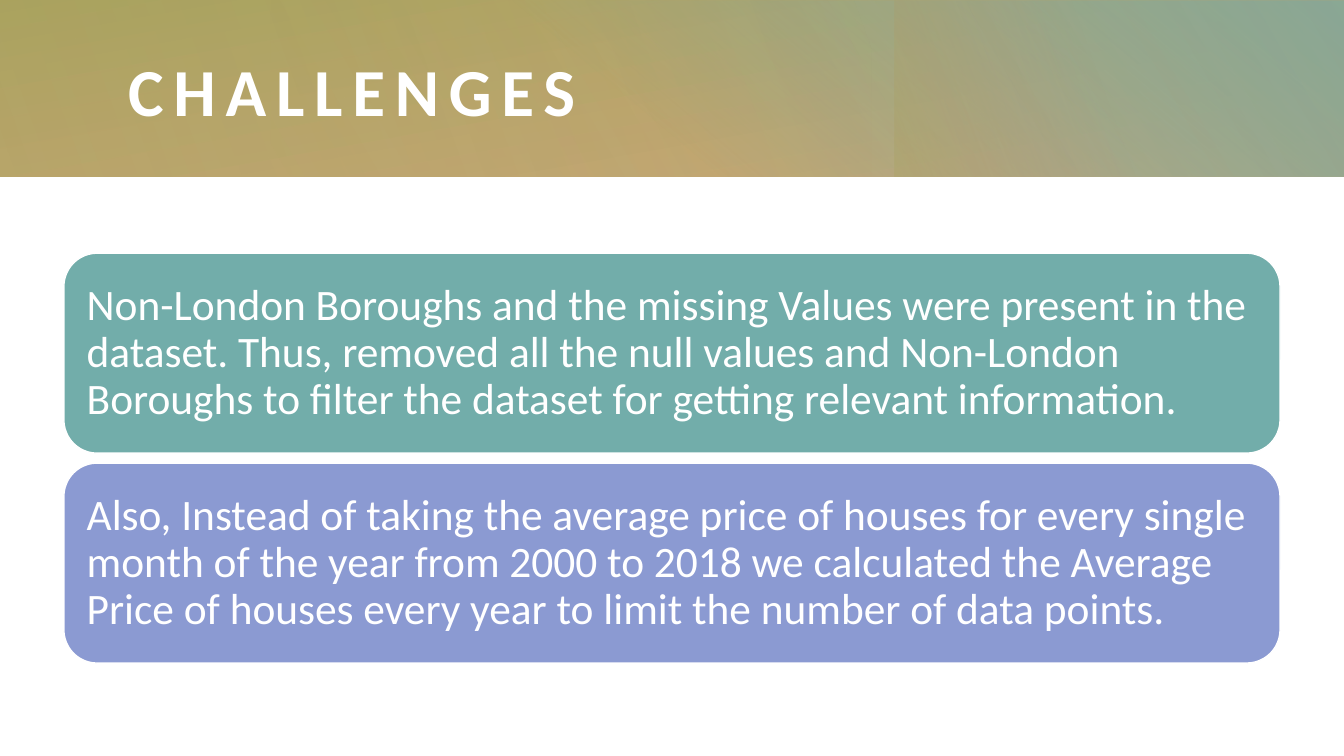
from lxml import etree
from pptx import Presentation
from pptx.dml.color import RGBColor
from pptx.enum.shapes import MSO_SHAPE
from pptx.enum.text import MSO_ANCHOR, PP_ALIGN
from pptx.oxml.ns import qn
from pptx.util import Cm, Pt

RECTANGLE = MSO_SHAPE.RECTANGLE
ROUNDED = MSO_SHAPE.ROUNDED_RECTANGLE
MIDDLE = MSO_ANCHOR.MIDDLE
LEFT = PP_ALIGN.LEFT

FONT = "Calibri"
WHITE, TEAL, PERIWINKLE = "FFFFFF", "72ADAA", "8B9AD2"
TAN, OLIVE, ROSE = "C29C65", "A5A55E", "C88071"
TITLE_ONLY_LAYOUT = 5


def rgb(hex_colour):
    return RGBColor.from_string(hex_colour)


def style_text(frame, size, inset):
    """Wrap and centre the text vertically, left-aligned in white."""
    frame.word_wrap = True
    frame.vertical_anchor = MIDDLE
    frame.margin_left = frame.margin_right = inset
    frame.margin_top = frame.margin_bottom = inset
    paragraph = frame.paragraphs[0]
    paragraph.alignment = LEFT
    paragraph.line_spacing = 0.9
    font = paragraph.runs[0].font
    font.name, font.size = FONT, Pt(size)
    font.color.rgb = rgb(WHITE)


prs = Presentation()
prs.slide_width, prs.slide_height = Cm(33.87), Cm(19.05)
slide = prs.slides.add_slide(prs.slide_layouts[TITLE_ONLY_LAYOUT])

# Header band: translucent gradients stacked from back to front.
# Box in cm, rotation, clockwise gradient angle, stops (position, colour, opacity %)
header_layers = [
    ((0, 0, 33.87, 4.45), 0, 260, [(0, TAN, 83), (1, OLIVE, 100)]),
    ((12.22, 0.02, 21.65, 4.43), 0, 310, [(0.22, TEAL, 0), (0.99, TEAL, 100)]),
    ((25.07, -2.52, 4.45, 9.5), 270, 250, [(0.45, ROSE, 0), (0.99, OLIVE, 33)]),
    ((6.82, 0, 27.03, 4.45), 180, 330, [(0, TAN, 30), (0.99, TAN, 0)]),
    ((0, 0, 21.97, 4.45), 0, 340, [(0, TAN, 21), (0.99, TAN, 0)]),
]
for box, rotation, angle, stops in header_layers:
    layer = slide.shapes.add_shape(RECTANGLE, *[Cm(length) for length in box])
    layer.shadow.inherit = False
    layer.line.fill.background()
    layer.rotation = rotation
    layer.fill.gradient()
    layer.fill.gradient_angle = 360 - angle
    for stop, (position, colour, _) in zip(layer.fill.gradient_stops, stops):
        stop.position = position
        stop.color.rgb = rgb(colour)
    for colour_node, (_, _, opacity) in zip(layer.element.iter(qn("a:srgbClr")), stops):
        etree.SubElement(colour_node, qn("a:alpha")).set("val", str(opacity * 1000))

# Title, brought in front of the header band
title = slide.shapes.title
title.left, title.top, title.width, title.height = Cm(3.23), Cm(1.04), Cm(28.83), Cm(2.69)
title.text_frame.text = "CHALLENGES"
style_text(title.text_frame, 48, 0)
title_run = title.text_frame.paragraphs[0].runs[0]
title_run.font.bold = True
title_run.font._element.set("spc", "700")
title.element.getparent().append(title.element)

# Challenge cards
challenges = [
    (TEAL, "Non-London Boroughs and the missing Values were present in the dataset. "
           "Thus, removed all the null values and Non-London Boroughs to filter the "
           "dataset for getting relevant information."),
    (PERIWINKLE, "Also, Instead of taking the average price of houses for every single "
                 "month of the year from 2000 to 2018 we calculated the Average Price of "
                 "houses every year to limit the number of data points."),
]
CARDS_TOP, CARD_PITCH = 6.38, 5.29
for row, (colour, challenge) in enumerate(challenges):
    card = slide.shapes.add_shape(
        ROUNDED, Cm(1.61), Cm(CARDS_TOP + row * CARD_PITCH), Cm(30.65), Cm(5.04))
    card.shadow.inherit = False
    card.fill.solid()
    card.fill.fore_color.rgb = rgb(colour)
    card.line.color.rgb = rgb(WHITE)
    card.line.width = Pt(1)
    card.text_frame.text = challenge
    style_text(card.text_frame, 31, Cm(0.33))

prs.save("out.pptx")
